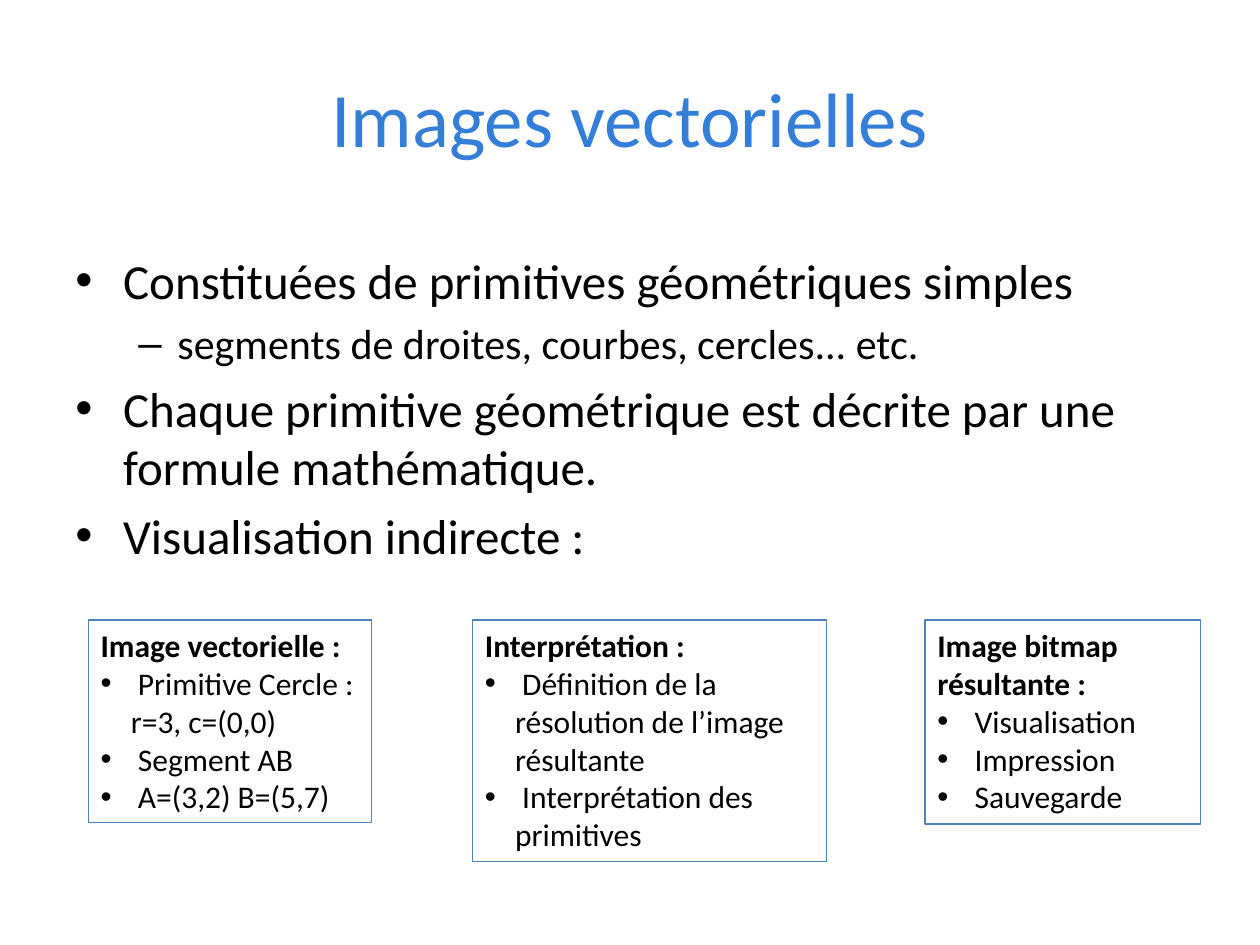
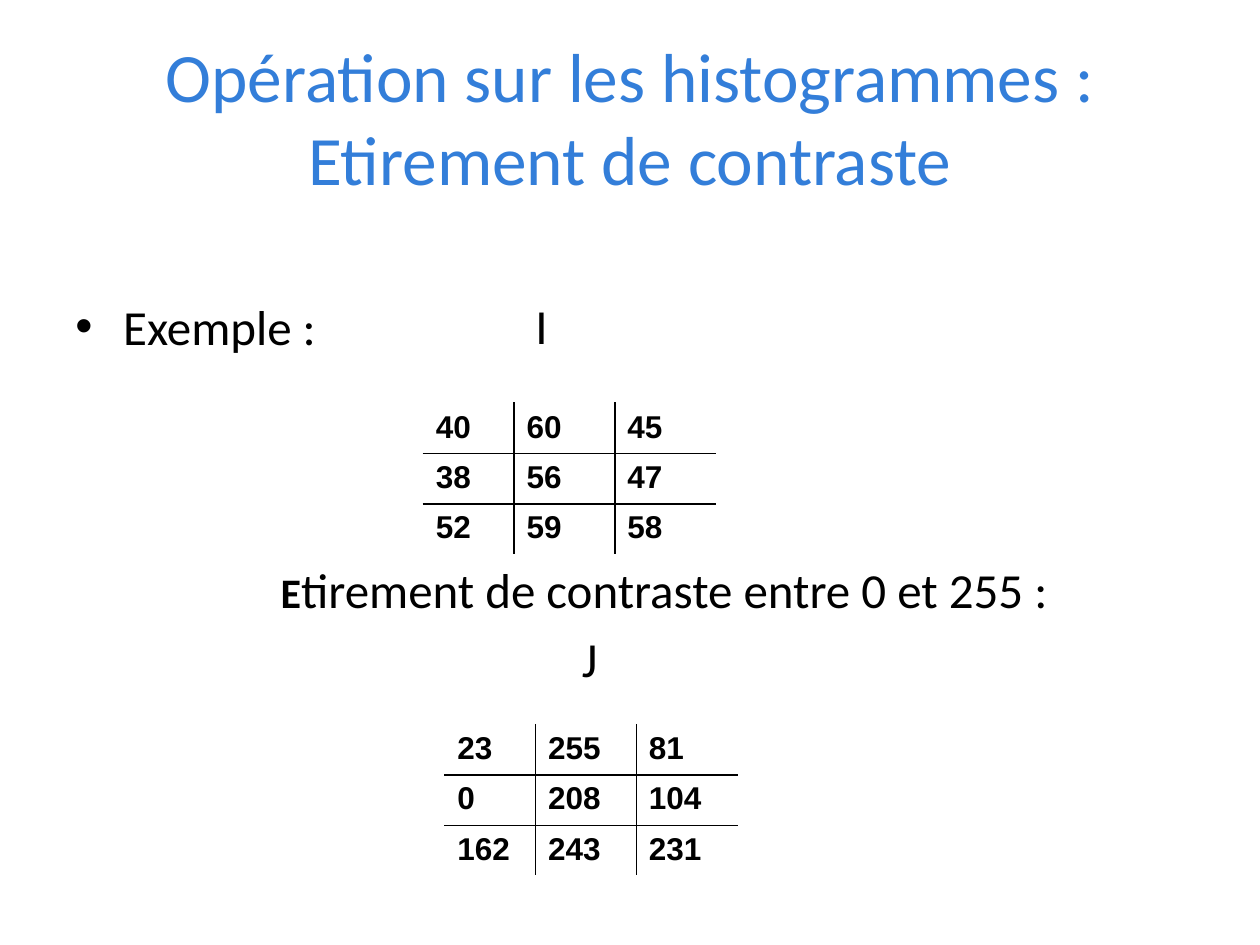
from dataclasses import dataclass

from lxml import etree
from pptx import Presentation
from pptx.dml.color import RGBColor
from pptx.enum import shapes, text
from pptx.oxml import ns
from pptx.slide import Slide
from pptx.util import Inches, Pt

BLACK = RGBColor(0x00, 0x00, 0x00)
WHITE = RGBColor(0xFF, 0xFF, 0xFF)
TITLE_BLUE = RGBColor(0x33, 0x7E, 0xD9)
OUTLINE_BLUE = RGBColor(0x4F, 0x81, 0xBD)
BODY_FONT = "Calibri"
TABLE_FONT = "Arial"
COLUMN_WIDTHS = (0.72, 0.80, 0.80)
ROW_HEIGHT = 0.39


@dataclass(frozen=True)
class Area:
    left: float
    top: float
    width: float
    height: float

    def lengths(self) -> tuple:
        return tuple(Inches(n) for n in (self.left, self.top, self.width, self.height))


@dataclass(frozen=True)
class Line:
    wording: str
    size: float = 28
    bullet: str = ""
    margin: float = 0
    indent: float = 0
    before: float = 0
    bold: bool = False
    color: RGBColor = BLACK
    align: text.PP_ALIGN = text.PP_ALIGN.LEFT


@dataclass(frozen=True)
class Stage:
    area: Area
    heading: str
    items: tuple[str, ...]


@dataclass(frozen=True)
class Matrix:
    left: float
    top: float
    rows: tuple[tuple[int, ...], ...]


TITLE_AREA = Area(0.5, 0.3, 9, 1.25)

STAGES = (
    Stage(Area(0.7, 4.92, 2.25, 1.61), "Image vectorielle :",
          (" Primitive Cercle : r=3, c=(0,0)", " Segment AB", " A=(3,2) B=(5,7)")),
    Stage(Area(3.75, 4.92, 2.81, 1.92), "Interprétation :",
          (" Définition de la résolution de l’image résultante",
           " Interprétation des primitives")),
    Stage(Area(7.34, 4.92, 2.19, 1.62), "Image bitmap résultante :",
          (" Visualisation", " Impression", " Sauvegarde")),
)

MATRICES = (
    Matrix(3.36, 3.2, ((40, 60, 45), (38, 56, 47), (52, 59, 58))),
    Matrix(3.53, 5.75, ((23, 255, 81), (0, 208, 104), (162, 243, 231))),
)


def main_point(wording: str, before: float = 5.6) -> Line:
    return Line(wording, bullet="•", margin=0.38, indent=-0.38, before=before)


def sub_point(wording: str) -> Line:
    return Line(wording, size=24, bullet="–", margin=0.81, indent=-0.31, before=4.8)


def style_span(span, size: float, font: str, bold: bool, color: RGBColor) -> None:
    span.font.size = Pt(size)
    span.font.name = font
    span.font.bold = bold
    span.font.color.rgb = color


def write_lines(frame, lines: list[Line]) -> None:
    frame.word_wrap = True
    frame.text = "\n".join(line.wording for line in lines)
    for para, line in zip(frame.paragraphs, lines):
        para.alignment = line.align
        para.space_before = Pt(line.before)
        properties = para._p.get_or_add_pPr()
        properties.set("marL", str(Inches(line.margin)))
        properties.set("indent", str(Inches(line.indent)))
        if line.bullet:
            font = etree.SubElement(properties, ns.qn("a:buFont"))
            font.set("typeface", TABLE_FONT)
            bullet = etree.SubElement(properties, ns.qn("a:buChar"))
            bullet.set("char", line.bullet)
        for span in para.runs:
            style_span(span, line.size, BODY_FONT, line.bold, line.color)


def add_text(page: Slide, area: Area, lines: list[Line]):
    box = page.shapes.add_textbox(*area.lengths())
    write_lines(box.text_frame, lines)
    return box


def add_page(deck, title: str, size: float) -> Slide:
    page = deck.slides.add_slide(deck.slide_layouts[6])
    box = add_text(page, TITLE_AREA, [
        Line(title, size, color=TITLE_BLUE, align=text.PP_ALIGN.CENTER)])
    box.text_frame.vertical_anchor = text.MSO_ANCHOR.MIDDLE
    return page


def add_stage(page: Slide, stage: Stage) -> None:
    box = page.shapes.add_shape(shapes.MSO_SHAPE.RECTANGLE, *stage.area.lengths())
    box.shadow.inherit = False
    box.fill.background()
    box.line.color.rgb = OUTLINE_BLUE
    box.line.width = Pt(0.75)
    box.text_frame.vertical_anchor = text.MSO_ANCHOR.TOP
    items = [Line(item, 18, "•", 0.24, -0.24) for item in stage.items]
    write_lines(box.text_frame, [Line(stage.heading, 18, bold=True), *items])


def add_border(cell, side: str, color: RGBColor) -> None:
    border = etree.SubElement(cell._tc.get_or_add_tcPr(), ns.qn(f"a:ln{side}"))
    border.set("w", str(Pt(1)))
    fill = etree.SubElement(border, ns.qn("a:solidFill"))
    etree.SubElement(fill, ns.qn("a:srgbClr")).set("val", str(color))


def add_matrix(page: Slide, matrix: Matrix) -> None:
    row_count, column_count = len(matrix.rows), len(COLUMN_WIDTHS)
    area = Area(matrix.left, matrix.top, sum(COLUMN_WIDTHS), ROW_HEIGHT * row_count)
    table = page.shapes.add_table(row_count, column_count, *area.lengths()).table
    table.first_row = False
    table.horz_banding = False
    for column, width in zip(table.columns, COLUMN_WIDTHS):
        column.width = Inches(width)
    for r, values in enumerate(matrix.rows):
        table.rows[r].height = Inches(ROW_HEIGHT)
        for c, value in enumerate(values):
            cell = table.cell(r, c)
            outer_sides = {"L": c == 0, "R": c == column_count - 1,
                           "T": r == 0, "B": r == row_count - 1}
            for side, is_outer in outer_sides.items():
                add_border(cell, side, WHITE if is_outer else BLACK)
            cell.fill.background()
            cell.text_frame.text = str(value)
            style_span(cell.text_frame.paragraphs[0].runs[0], 18, TABLE_FONT, True, BLACK)


def build_vector_page(deck) -> None:
    page = add_page(deck, "Images vectorielles", 44)
    add_text(page, Area(0.5, 1.94, 9, 2.59), [
        main_point("Constituées de primitives géométriques simples", before=0),
        sub_point("segments de droites, courbes, cercles... etc."),
        main_point("Chaque primitive géométrique est décrite par une formule mathématique."),
        main_point("Visualisation indirecte :"),
    ])
    for stage in STAGES:
        add_stage(page, stage)


def build_contrast_page(deck) -> None:
    page = add_page(deck, "Opération sur les histogrammes : Etirement de contraste", 39.6)
    body = add_text(page, Area(0.5, 1.75, 9, 4.95), [
        main_point("Exemple :", before=0),
        Line("Etirement de contraste entre 0 et 255 :", margin=1.63, before=117),
        Line("J", margin=4.02, before=5.6),
    ])
    body.text_frame.margin_top = Inches(0.6)
    stretch = body.text_frame.paragraphs[1]
    initial = stretch.runs[0]
    rest = stretch.add_run()
    rest.text = initial.text[1:]
    initial.text = initial.text[:1]
    style_span(initial, 24, BODY_FONT, True, BLACK)
    style_span(rest, 28, BODY_FONT, False, BLACK)
    add_text(page, Area(4.15, 2.3, 0.5, 0.57), [Line("I")])
    for matrix in MATRICES:
        add_matrix(page, matrix)


def main() -> None:
    deck = Presentation()
    deck.slide_width = Inches(10)
    deck.slide_height = Inches(7.5)
    build_vector_page(deck)
    build_contrast_page(deck)
    deck.save("out.pptx")


if __name__ == "__main__":
    main()
